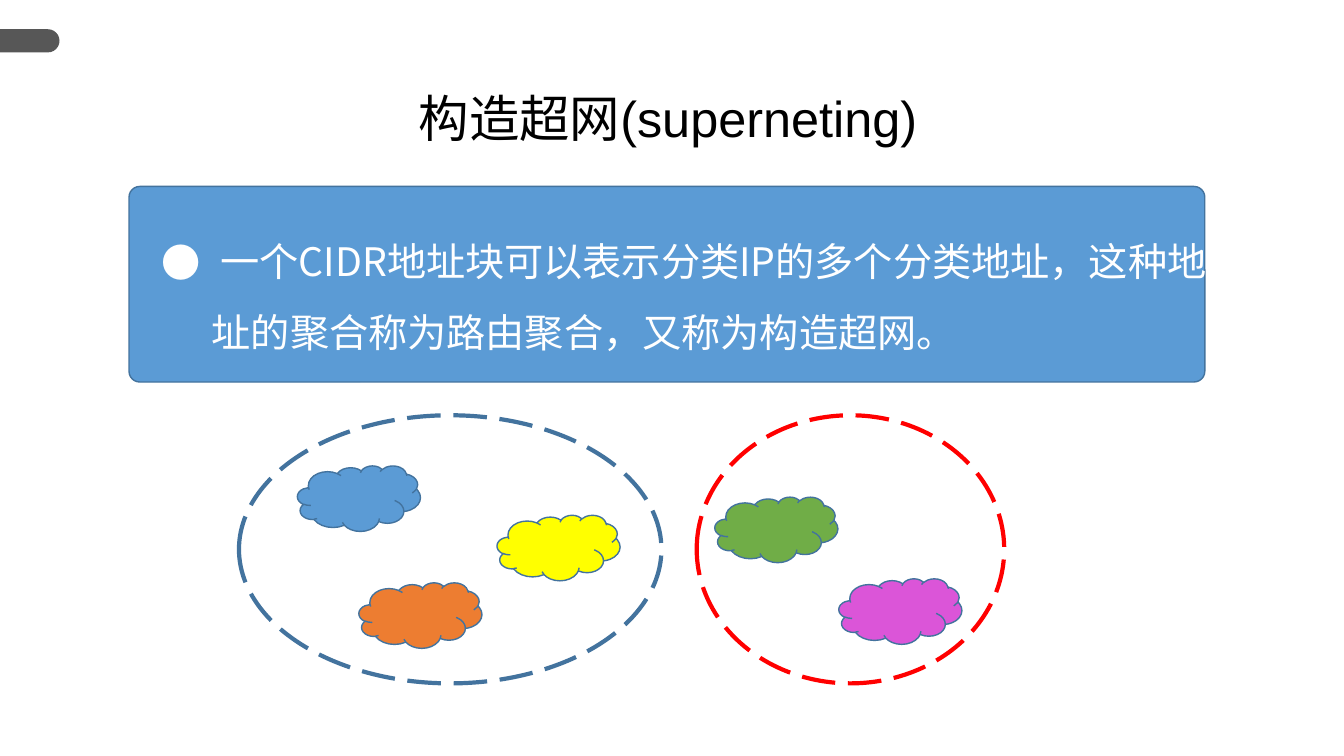
from dataclasses import dataclass

from lxml.etree import SubElement
from pptx import Presentation
from pptx.dml.color import RGBColor
from pptx.enum.dml import MSO_LINE
from pptx.enum.shapes import MSO_SHAPE as Shape
from pptx.enum.text import MSO_ANCHOR as Anchor
from pptx.enum.text import MSO_AUTO_SIZE as AutoSize
from pptx.enum.text import PP_ALIGN as Align
from pptx.oxml.ns import qn
from pptx.util import Pt

EMU_PER_PX = 9144  # 100 px to the inch


def px(length):
    return length * EMU_PER_PX


@dataclass(frozen=True)
class Theme:
    black: str = "000000"
    white: str = "FFFFFF"
    gray: str = "575757"
    blue: str = "5B9BD5"
    outline: str = "43739E"
    orange: str = "ED7D31"
    yellow: str = "FFFF00"
    green: str = "70AD47"
    violet: str = "DB55D8"
    red: str = "FF0000"
    title_font: str = "Arial"
    body_font: str = "Noto Sans CJK SC"
    title_size: int = 36
    body_size: int = 28
    thin: int = 1
    thick: int = 3


class SlideBuilder:
    def __init__(self, slide, theme):
        self.slide = slide
        self.theme = theme

    def place(self, shape, box):
        shape.left, shape.top, shape.width, shape.height = map(px, box)

    def style_text(self, paragraph, font_name, size, color):
        font = paragraph.font
        font.name = font_name
        font.size = Pt(size)
        font.color.rgb = RGBColor.from_string(color)
        properties = paragraph._p.pPr.find(qn("a:defRPr"))
        SubElement(properties, qn("a:ea"), typeface=self.theme.body_font)

    def title(self, text, box):
        heading = self.slide.shapes.title
        self.place(heading, box)
        frame = heading.text_frame
        frame.text = text
        frame.auto_size = AutoSize.NONE
        frame.vertical_anchor = Anchor.MIDDLE
        paragraph = frame.paragraphs[0]
        paragraph.alignment = Align.CENTER
        paragraph.line_spacing = 0.9
        self.style_text(paragraph, self.theme.title_font,
                        self.theme.title_size, self.theme.black)

    def bullet(self, text, box, indent):
        body = self.slide.placeholders[1]
        self.place(body, box)
        frame = body.text_frame
        frame.text = text
        frame.word_wrap = True
        frame.auto_size = AutoSize.SHAPE_TO_FIT_TEXT
        paragraph = frame.paragraphs[0]
        paragraph.line_spacing = 1.5
        paragraph.space_before = Pt(0)
        properties = paragraph._p.get_or_add_pPr()
        properties.set("marL", str(px(indent)))
        properties.set("indent", str(-px(indent)))
        SubElement(properties, qn("a:buFont"), typeface=self.theme.body_font)
        SubElement(properties, qn("a:buChar"), char="●")
        self.style_text(paragraph, self.theme.body_font,
                        self.theme.body_size, self.theme.white)

    def shape(self, kind, box, fill=None, line=None, weight=None):
        shape = self.slide.shapes.add_shape(kind, *map(px, box))
        shape.shadow.inherit = False
        if fill:
            shape.fill.solid()
            shape.fill.fore_color.rgb = RGBColor.from_string(fill)
        else:
            shape.fill.background()
        if line:
            shape.line.color.rgb = RGBColor.from_string(line)
            shape.line.width = Pt(weight or self.theme.thin)
        else:
            shape.line.fill.background()
        return shape

    def edge_tab(self, box):
        """Draw a tab rounded at its right end: a turned top-rounded box."""
        left, top, width, height = box
        shift = (width - height) // 2
        tab = self.shape(Shape.ROUND_2_SAME_RECTANGLE,
                         (left + shift, top - shift, height, width),
                         self.theme.gray)
        tab.adjustments[0] = 0.5
        tab.rotation = 90

    def panel(self, box):
        panel = self.shape(Shape.ROUNDED_RECTANGLE, box,
                           self.theme.blue, self.theme.outline)
        panel.adjustments[0] = 0.055

    def network(self, left, top, color):
        self.shape(Shape.CLOUD, (left, top, 122, 65), color, self.theme.outline)

    def supernet(self, left, width, color):
        ring = self.shape(Shape.OVAL, (left, 412, width, 266),
                          line=color, weight=self.theme.thick)
        ring.line.dash_style = MSO_LINE.LONG_DASH


def main():
    deck = Presentation()
    deck.slide_width, deck.slide_height = px(1333), px(750)
    theme = Theme()
    slide = deck.slides.add_slide(deck.slide_layouts[1])
    builder = SlideBuilder(slide, theme)

    builder.edge_tab((0, 29, 59, 23))
    builder.title("构造超网(superneting)", (3, 86, 1319, 69))
    builder.panel((128, 185, 1067, 194))
    builder.bullet(
        " 一个CIDR地址块可以表示分类IP的多个分类地址，"
        "这种地址的聚合称为路由聚合，又称为构造超网。",
        (150, 207, 1057, 151), indent=50)
    # The body text belongs in front of the panel.
    slide.shapes._spTree.append(slide.placeholders[1]._element)

    for left, top, color in (
        (295, 462, theme.blue),
        (356, 578, theme.orange),
        (493, 511, theme.yellow),
        (709, 493, theme.green),
        (832, 574, theme.violet),
    ):
        builder.network(left, top, color)
    builder.supernet(237, 419, theme.outline)
    builder.supernet(691, 305, theme.red)

    deck.save("out.pptx")


if __name__ == "__main__":
    main()
